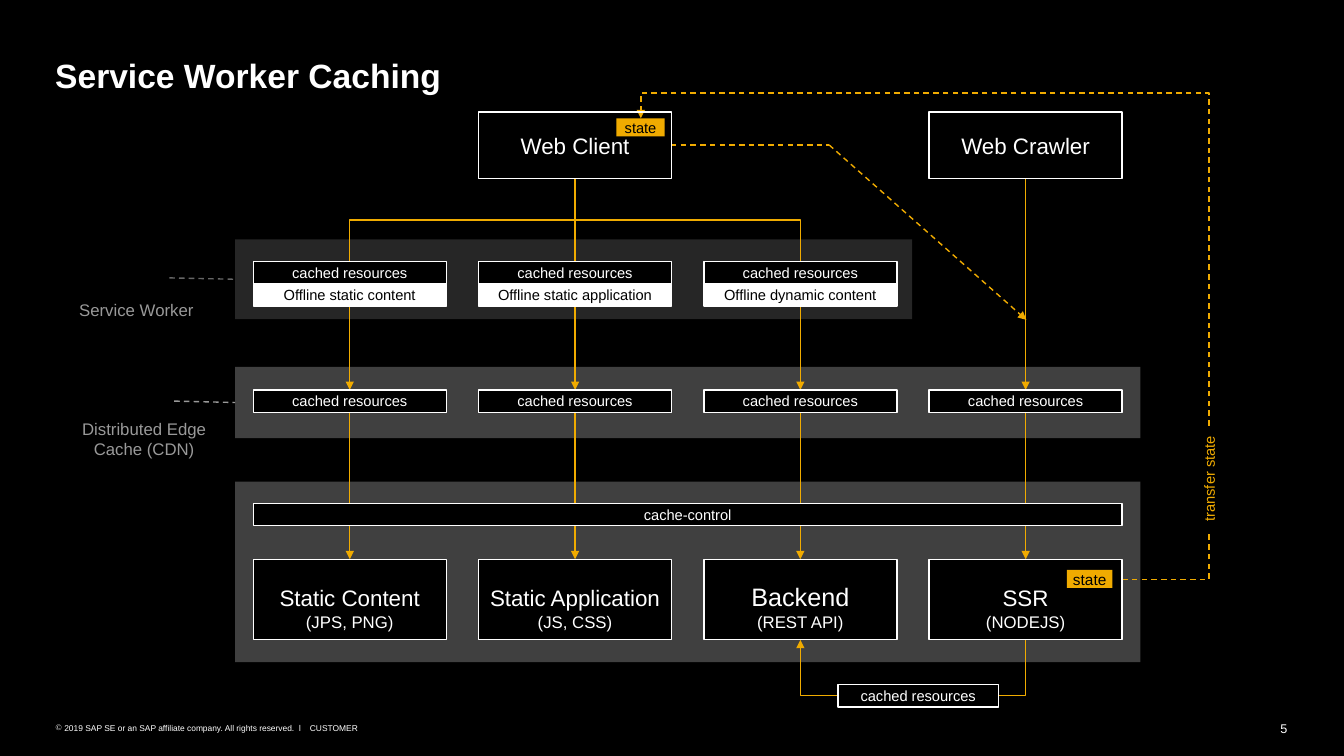
from dataclasses import dataclass

from lxml import etree
from pptx import Presentation
from pptx.dml.color import RGBColor
from pptx.enum.dml import MSO_LINE
from pptx.enum.shapes import MSO_CONNECTOR, MSO_SHAPE
from pptx.enum.text import MSO_ANCHOR, PP_ALIGN
from pptx.oxml.ns import qn
from pptx.util import Pt

RECTANGLE = MSO_SHAPE.RECTANGLE
STRAIGHT, ELBOW = MSO_CONNECTOR.STRAIGHT, MSO_CONNECTOR.ELBOW
DASH = MSO_LINE.DASH
TOP, MIDDLE, BOTTOM = MSO_ANCHOR.TOP, MSO_ANCHOR.MIDDLE, MSO_ANCHOR.BOTTOM
LEFT, CENTER, RIGHT = PP_ALIGN.LEFT, PP_ALIGN.CENTER, PP_ALIGN.RIGHT

BLACK, WHITE, GOLD = "000000", "FFFFFF", "F0AB00"
DARK, SLATE, GREY, DIM = "262626", "404040", "999999", "666666"

# Four columns share one pitch, all rows one box height
COLUMN_LEFTS = [181 + 161 * i for i in range(4)]
COLUMN_WIDTH = 138
CENTERS = [left + COLUMN_WIDTH / 2 for left in COLUMN_LEFTS]
BAR_HEIGHT = 16
CLIENT_TOP, CLIENT_HEIGHT = 80, 47.5
CLIENT_BOTTOM = CLIENT_TOP + CLIENT_HEIGHT
WORKER_TOP, OFFLINE_TOP, EDGE_TOP, CONTROL_TOP = 187, 202.5, 278.5, 359.5
SERVER_TOP, SERVER_HEIGHT = 399.5, 57.5
SERVER_BOTTOM = SERVER_TOP + SERVER_HEIGHT
LOOP_Y, STATE_X = 497, 864


@dataclass
class Span:
    text: str
    size: float
    color: str = WHITE
    bold: bool = False


@dataclass
class Box:
    left: float
    top: float
    width: float
    height: float
    spans: tuple = ()
    fill: str = ""
    outline: str = ""
    anchor: MSO_ANCHOR = MIDDLE
    align: PP_ALIGN = CENTER
    inset: tuple = (0, 0)
    wrap: bool = True
    rotation: float = 0
    bullet: str = ""


@dataclass
class Line:
    start: tuple
    end: tuple
    color: str = GOLD
    dashed: bool = False
    arrow: bool = False
    preset: str = ""
    rotation: int = 0
    flip: str = ""
    adjust: int = 50000


def rgb(color: str) -> RGBColor:
    return RGBColor.from_string(color)


def apply(target, values: dict) -> None:
    for name, value in values.items():
        setattr(target, name, value)


def add_bullet(para, symbol: str, color: str) -> None:
    properties = para._p.get_or_add_pPr()
    properties.set("marL", str(Pt(6.5)))
    properties.set("indent", str(-Pt(6.5)))
    bullet_color = etree.SubElement(properties, qn("a:buClr"))
    etree.SubElement(bullet_color, qn("a:srgbClr"), val=color)
    etree.SubElement(properties, qn("a:buChar"), char=symbol)


def draw_box(page, box: Box) -> None:
    place = [Pt(v) for v in (box.left, box.top, box.width, box.height)]
    if box.fill or box.outline:
        shape = page.shapes.add_shape(RECTANGLE, *place)
        shape.shadow.inherit = False
        if box.fill:
            shape.fill.solid()
            shape.fill.fore_color.rgb = rgb(box.fill)
        else:
            shape.fill.background()
        if box.outline:
            shape.line.color.rgb = rgb(box.outline)
            shape.line.width = Pt(1)
        else:
            shape.line.fill.background()
    else:
        shape = page.shapes.add_textbox(*place)
    shape.rotation = box.rotation
    across, down = (Pt(v) for v in box.inset)
    frame = shape.text_frame
    apply(frame, {"margin_left": across, "margin_right": across, "margin_top": down,
                  "margin_bottom": down, "vertical_anchor": box.anchor, "word_wrap": box.wrap})
    para = frame.paragraphs[0]
    para.alignment = box.align
    if box.bullet:
        add_bullet(para, box.bullet, WHITE)
    for i, span in enumerate(box.spans):
        if i:
            para.add_line_break()
        run = para.add_run()
        run.text = span.text
        apply(run.font, {"name": "Arial", "size": Pt(span.size), "bold": span.bold})
        run.font.color.rgb = rgb(span.color)


def draw_line(page, line: Line) -> None:
    (x1, y1), (x2, y2) = line.start, line.end
    if line.preset:  # an elbow is laid out unrotated about its middle
        width, height = abs(x2 - x1), abs(y2 - y1)
        if line.rotation % 180:
            width, height = height, width
        middle_x, middle_y = (x1 + x2) / 2, (y1 + y2) / 2
        x1, x2 = middle_x - width / 2, middle_x + width / 2
        y1, y2 = middle_y - height / 2, middle_y + height / 2
    connector = page.shapes.add_connector(ELBOW if line.preset else STRAIGHT,
                                          Pt(x1), Pt(y1), Pt(x2), Pt(y2))
    connector.line.color.rgb = rgb(line.color)
    connector.line.width = Pt(1)
    if line.dashed:
        connector.line.dash_style = DASH
    properties = connector.element.spPr
    if line.preset:
        frame = properties.find(qn("a:xfrm"))
        frame.set("rot", str(line.rotation * 60000))
        if line.flip:
            frame.set(line.flip, "1")
        geometry = properties.find(qn("a:prstGeom"))
        geometry.set("prst", line.preset)
        if line.preset == "bentConnector3":
            guides = geometry.find(qn("a:avLst"))
            etree.SubElement(guides, qn("a:gd"), name="adj1", fmla=f"val {line.adjust}")
    if line.arrow:
        etree.SubElement(properties.find(qn("a:ln")), qn("a:tailEnd"), type="triangle")
    etree.SubElement(properties, qn("a:effectLst"))


def bar(left: float, top: float, text: str, width: float = COLUMN_WIDTH,
        fill: str = BLACK, color: str = WHITE) -> Box:
    return Box(left, top, width, BAR_HEIGHT, (Span(text, 10.5, color),), fill, WHITE,
               inset=(5.8, 1.4))


def build_lines() -> list[Line]:
    static, app, backend, ssr = CENTERS
    fan = (app, CLIENT_BOTTOM)
    lines = [
        Line(fan, (backend, WORKER_TOP), preset="bentConnector3", rotation=270, flip="flipH"),
        Line(fan, (static, WORKER_TOP), preset="bentConnector3", rotation=90),
        Line(fan, (app, WORKER_TOP)),
        Line((ssr, CLIENT_BOTTOM), (ssr, EDGE_TOP), arrow=True),
        # Web client straight to the crawler path
        Line((479.5, 103.5), (592.5, 103.5), dashed=True),
        Line((592.5, 103.5), (733.5, 228.5), dashed=True, arrow=True),
        # State transfer
        Line((795, 414), (STATE_X, 380), dashed=True, preset="bentConnector2", flip="flipV"),
        Line((STATE_X, 304), (458, 84.5), dashed=True, arrow=True, preset="bentConnector3",
             rotation=270, flip="flipV", adjust=108200),
        # Loop from SSR to the backend
        Line((ssr, SERVER_BOTTOM), (713.5, LOOP_Y), preset="bentConnector2", rotation=90),
        Line((599, LOOP_Y), (backend, SERVER_BOTTOM), arrow=True, preset="bentConnector2",
             rotation=180),
        # Label leaders
        Line((124.5, 286.5), (168, 287.5), GREY, dashed=True),
        Line((121, 198.5), (168, 199.5), DIM, dashed=True),
    ]
    lines += [Line((x, WORKER_TOP + BAR_HEIGHT), (x, EDGE_TOP), arrow=True) for x in CENTERS[:3]]
    lines += [Line((x, EDGE_TOP + BAR_HEIGHT), (x, SERVER_TOP), arrow=True) for x in CENTERS]
    return lines


def build_boxes() -> list[Box]:
    boxes = []
    for column, name in ((1, "Web Client"), (3, "Web Crawler")):
        boxes.append(Box(COLUMN_LEFTS[column], CLIENT_TOP, COLUMN_WIDTH, CLIENT_HEIGHT,
                         (Span(name, 16),), outline=WHITE, inset=(7.2, 5.8)))
    servers = (("Static Content", "(JPS, PNG)", 16), ("Static Application", "(JS, CSS)", 16),
               ("Backend", "(REST API)", 18), ("SSR", "(NODEJS)", 16))
    for left, (name, detail, size) in zip(COLUMN_LEFTS, servers):
        boxes.append(Box(left, SERVER_TOP, COLUMN_WIDTH, SERVER_HEIGHT,
                         (Span(name, size), Span(detail, 12)), BLACK, WHITE, BOTTOM,
                         inset=(7.2, 5.8)))
        boxes.append(bar(left, EDGE_TOP, "cached resources"))
    for left, kind in zip(COLUMN_LEFTS, ("static content", "static application", "dynamic content")):
        boxes.append(bar(left, OFFLINE_TOP, f"Offline {kind}", fill=WHITE, color=BLACK))
        boxes.append(bar(left, WORKER_TOP, "cached resources"))
    boxes.append(bar(COLUMN_LEFTS[0], CONTROL_TOP, "cache-control", 621))
    boxes.append(bar(599, LOOP_Y - BAR_HEIGHT / 2, "cached resources", 114.5))
    for left, top, width, size in ((440.5, 84.5, 34.5, 10.5), (762.5, 407, 32.5, 11)):
        boxes.append(Box(left, top, width, 13, (Span("state", size, BLACK),), GOLD,
                         inset=(2.9, 0), wrap=False))
    # Labels, title and footer
    boxes += [
        Box(826, 332, 76, 20, (Span("transfer state", 10.5, GOLD),), rotation=270),
        Box(56, 214, 83, 14, (Span("Service Worker", 12, GREY),), anchor=TOP),
        Box(48, 301, 110, 25, (Span("Distributed Edge Cache (CDN)", 12, GREY),), inset=(7.2, 2.9)),
        Box(39.5, 39.5, 880.5, 29, (Span("Service Worker Caching", 24, bold=True),),
            anchor=TOP, align=LEFT),
        Box(39.5, 516.5, 179, 7, (Span(
            "2019 SAP SE or an SAP affiliate company. All rights reserved.  ǀ", 6),),
            anchor=TOP, align=LEFT, bullet="©"),
        Box(221.5, 516.5, 48, 7, (Span("CUSTOMER", 6),), anchor=TOP, align=LEFT),
        Box(909, 515, 11, 11, (Span("5", 9),), anchor=TOP, align=RIGHT),
    ]
    return boxes


def main() -> None:
    deck = Presentation()
    deck.slide_width, deck.slide_height = Pt(960.5), Pt(540)
    page = deck.slides.add_slide(deck.slide_layouts[6])
    page.background.fill.solid()
    page.background.fill.fore_color.rgb = rgb(BLACK)
    # Tier bands, then arrows, then boxes on top
    for top, width, height, color in ((344, 647, 129, SLATE), (171, 484, 57, DARK),
                                      (262, 647, 51, SLATE)):
        draw_box(page, Box(168, top, width, height, fill=color))
    for line in build_lines():
        draw_line(page, line)
    for box in build_boxes():
        draw_box(page, box)
    deck.save("out.pptx")


if __name__ == "__main__":
    main()
